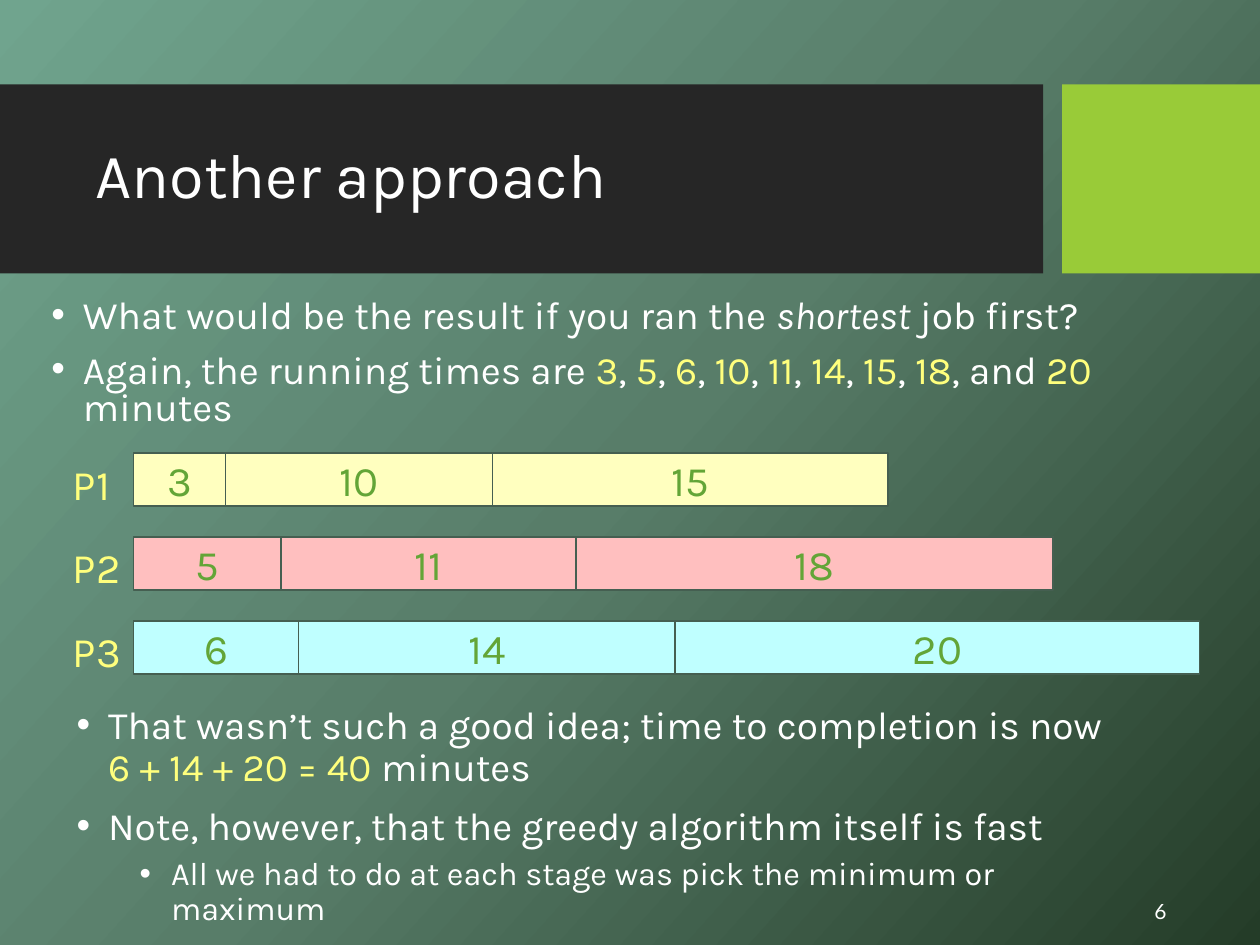
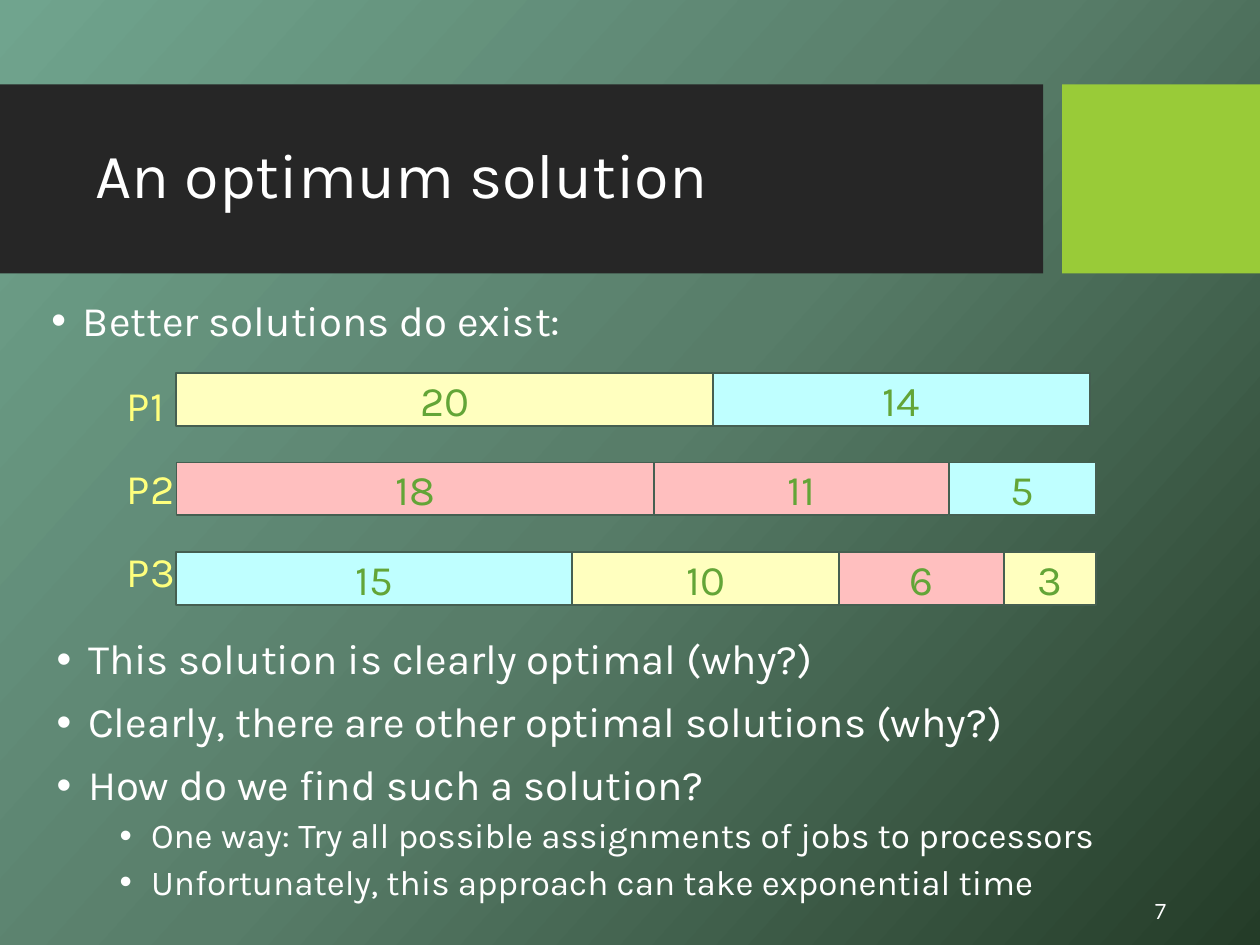
from copy import deepcopy
from dataclasses import dataclass

from lxml.etree import SubElement
from pptx import Presentation
from pptx.dml.color import RGBColor
from pptx.enum.shapes import MSO_SHAPE
from pptx.enum.text import MSO_ANCHOR, PP_ALIGN
from pptx.oxml.ns import qn
from pptx.util import Inches, Pt

COLUMNS, ROWS = 100, 75
CELL = Inches(10) // COLUMNS


@dataclass(frozen=True)
class Theme:
    backdrop: tuple = ("70A48E", "587D69", "243C28")
    backdrop_angle: int = 318
    band: str = "262626"
    tab: str = "99CB38"
    text: str = "FFFFFF"
    accent: str = "FFFF7D"
    job_text: str = "63A537"
    job_line: str = "455F51"
    yellow: str = "FFFFBF"
    pink: str = "FFBFBF"
    blue: str = "BFFFFF"
    font: str = "Karla"
    number_font: str = "Lato"
    title_size: float = 36
    job_size: float = 24
    number_size: float = 12


THEME = Theme()
JOB_COLUMNS = {3: 7.3, 5: 11.7, 6: 13.1, 10: 21.2, 11: 23.4,
               14: 29.9, 15: 31.4, 18: 37.9, 20: 41.6}
JOB_ROWS = 4.2


def cells(*counts):
    return [round(count * CELL) for count in counts]


def paint_backdrop(page):
    fill = page.background.fill
    fill.gradient()
    fill.gradient_angle = THEME.backdrop_angle
    stop_list = page.element.find(".//" + qn("a:gsLst"))
    stop_list.append(deepcopy(stop_list[-1]))
    for index, (stop, color) in enumerate(zip(fill.gradient_stops, THEME.backdrop)):
        stop.position = index / (len(THEME.backdrop) - 1)
        stop.color.rgb = RGBColor.from_string(color)


def add_box(page, area, anchor=MSO_ANCHOR.TOP):
    frame = page.shapes.add_textbox(*cells(*area)).text_frame
    frame.word_wrap = True
    frame.vertical_anchor = anchor
    return frame


def add_block(page, area, color, outline=None):
    block = page.shapes.add_shape(MSO_SHAPE.RECTANGLE, *cells(*area))
    block.shadow.inherit = False
    block.fill.solid()
    block.fill.fore_color.rgb = RGBColor.from_string(color)
    if outline:
        block.line.color.rgb = RGBColor.from_string(outline)
        block.line.width = Pt(1)
    else:
        block.line.fill.background()
    return block


def style(span, size, color=THEME.text, font=THEME.font):
    span.font.size = Pt(size)
    span.font.name = font
    span.font.color.rgb = RGBColor.from_string(color)


def write(para, text, size, color=THEME.text, font=THEME.font):
    para.text = text
    for span in para.runs:
        style(span, size, color, font)


def next_para(frame, index):
    return frame.add_paragraph() if index else frame.paragraphs[0]


def add_frame(page, title, number):
    paint_backdrop(page)
    page_number = add_box(page, (86.7, 70.8, 10.8, 3)).paragraphs[0]
    write(page_number, str(number), THEME.number_size, font=THEME.number_font)
    page_number.alignment = PP_ALIGN.CENTER
    add_block(page, (0, 6.7, 82.8, 15), THEME.band)
    add_block(page, (84.3, 6.7, COLUMNS - 84.3, 15), THEME.tab)
    heading = add_box(page, (6.6, 10, 85.2, 8.3), MSO_ANCHOR.MIDDLE).paragraphs[0]
    write(heading, title, THEME.title_size)
    heading.line_spacing = 0.9


def add_spans(para, spans, size):
    for kind, text in spans:
        if kind == "break":
            para.add_line_break()
            continue
        span = para.add_run()
        span.text = text
        style(span, size, THEME.accent if kind == "accent" else THEME.text)
        if kind == "italic":
            span.font.italic = True


def add_bullets(page, area, items, sizes, spacing=0.9):
    frame = add_box(page, area)
    for index, (level, content) in enumerate(items):
        para = next_para(frame, index)
        para.level = level
        properties = para._p.get_or_add_pPr()
        properties.set("marL", str(Inches((0.25, 0.75)[level])))
        properties.set("indent", str(-Inches(0.25)))
        para.line_spacing = spacing
        if index:
            para.space_before = Pt((10, 5)[level])
        SubElement(properties, qn("a:buFont"), typeface="Arial")
        SubElement(properties, qn("a:buChar"), char="•")
        spans = [("plain", content)] if isinstance(content, str) else content
        add_spans(para, spans, sizes[level])


def add_job(page, area, minutes, color):
    job = add_block(page, area, color, THEME.job_line)
    frame = job.text_frame
    frame.word_wrap = False
    frame.vertical_anchor = MSO_ANCHOR.MIDDLE
    write(frame.paragraphs[0], str(minutes), THEME.job_size, THEME.job_text)
    frame.paragraphs[0].alignment = PP_ALIGN.CENTER


def add_schedule(page, left, top, pitch, processors, lengths=JOB_COLUMNS):
    for row, jobs in enumerate(processors):
        start = left
        for minutes, color in jobs:
            area = (start, top + row * pitch, lengths[minutes], JOB_ROWS)
            add_job(page, area, minutes, color)
            start += lengths[minutes]


def add_processor_labels(page, left, top, count):
    frame = add_box(page, (left, top, 6.6, 19.5))
    for index in range(count):
        para = next_para(frame, index)
        write(para, f"P{index + 1}", THEME.job_size, THEME.accent)
        para.line_spacing = 1.2
        if index:
            para.space_before = Pt(13)


def running_times(times):
    spans = [("plain", "Again, the running times are ")]
    for minutes in times[:-1]:
        spans += [("accent", str(minutes)), ("plain", ", ")]
    spans[-1] = ("plain", ", and ")
    return spans + [("accent", str(times[-1])), ("plain", " minutes")]


def build_shortest_first(page):
    add_frame(page, "Another approach", 6)
    times = list(JOB_COLUMNS)
    question = [("plain", "What would be the result if you ran the "),
                ("italic", "shortest"), ("plain", " job first?")]
    add_bullets(page, (3.1, 23.3, 93.8, 11.8),
                [(0, question), (0, running_times(times))], (22.2, 18.5), 0.8)
    colors = (THEME.yellow, THEME.pink, THEME.blue)
    processors = [[(minutes, color) for minutes in times[row::3]]
                  for row, color in enumerate(colors)]
    add_schedule(page, 10.6, 35.95, 6.67, processors)
    add_processor_labels(page, 4.8, 35.1, len(processors))
    verdict = [("plain", "That wasn’t such a good idea; time to completion is now"),
               ("break", ""), ("accent", "6 + 14 + 20 = 40 "), ("plain", "minutes")]
    add_bullets(page, (5.1, 55.5, 85.8, 20), [
        (0, verdict),
        (0, "Note, however, that the greedy algorithm itself is fast"),
        (1, "All we had to do at each stage was pick the minimum or maximum"),
    ], (22.2, 18.5))


def build_optimum(page):
    add_frame(page, "An optimum solution", 7)
    sizes = (24, 20)
    add_bullets(page, (3.1, 23.3, 93.8, 5.5), [(0, "Better solutions do exist:")], sizes)
    add_bullets(page, (3.5, 50.2, 85.8, 24.6), [
        (0, "This solution is clearly optimal (why?)"),
        (0, "Clearly, there are other optimal solutions (why?)"),
        (0, "How do we find such a solution?"),
        (1, "One way: Try all possible assignments of jobs to processors"),
        (1, "Unfortunately, this approach can take exponential time"),
    ], sizes)
    yellow, pink, blue = THEME.yellow, THEME.pink, THEME.blue
    processors = [
        [(20, yellow), (14, blue)],
        [(18, pink), (11, pink), (5, blue)],
        [(15, blue), (10, yellow), (6, pink), (3, yellow)],
    ]
    add_schedule(page, 14, 29.6, 7.1, processors, {**JOB_COLUMNS, 20: 42.6})
    add_processor_labels(page, 9.1, 28.8, len(processors))


def main():
    deck = Presentation()
    deck.slide_width, deck.slide_height = cells(COLUMNS, ROWS)
    blank = deck.slide_layouts[6]
    for build in (build_shortest_first, build_optimum):
        build(deck.slides.add_slide(blank))
    deck.save("out.pptx")


if __name__ == "__main__":
    main()
